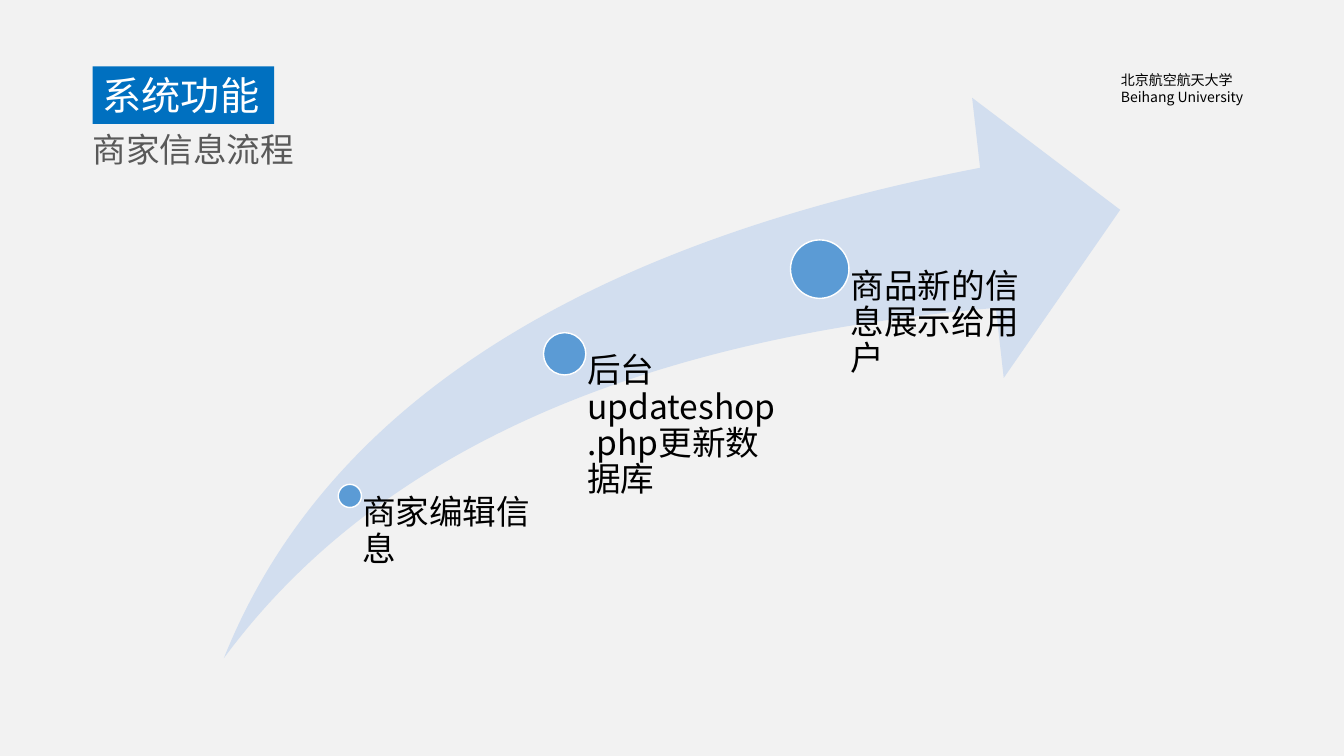
from pptx import Presentation
from pptx.dml.color import RGBColor
from pptx.enum.shapes import MSO_SHAPE as Preset
from pptx.enum.text import MSO_ANCHOR as Anchor, PP_ALIGN as Align
from pptx.oxml.ns import qn
from pptx.util import Inches, Pt

COLORS = {
    "background": "F2F2F2", "title": "0070C0", "subtitle": "595959",
    "arrow": "D2DEEF", "dot": "5B9BD5", "white": "FFFFFF", "black": "000000",
}
CJK_FONT = "Noto Sans CJK SC"

UNIVERSITY = ["北京航空航天大学", "Beihang University"]
TITLE = "系统功能"
SUBTITLE = "商家信息流程"
ARROW = (2.22, 0.97, 8.89, 5.56)
STEPS = [
    ("商家编辑信息", "Times New Roman", 3.47, 4.92, 0.23, 2.07),
    ("后台updateshop.php更新数据库", CJK_FONT, 5.6, 3.51, 0.42, 2.13),
    ("商品新的信息展示给用户", "Calibri", 8.13, 2.67, 0.58, 2.13),
]


def color(name):
    return RGBColor.from_string(COLORS[name])


def add_preset(slide, preset, box, fill, line=None):
    shape = slide.shapes.add_shape(preset, *map(Inches, box))
    shape.shadow.inherit = False
    shape.fill.solid()
    shape.fill.fore_color.rgb = color(fill)
    if line:
        shape.line.color.rgb = color(line)
        shape.line.width = Pt(1)
    else:
        shape.line.fill.background()
    return shape


def write(shape, lines, size, ink="black", font=CJK_FONT,
          insets=(0.1, 0.05, 0.1, 0.05), spacing=1.0):
    frame = shape.text_frame
    frame.word_wrap = True
    frame.vertical_anchor = Anchor.TOP
    (frame.margin_left, frame.margin_top,
     frame.margin_right, frame.margin_bottom) = map(Inches, insets)
    for index, line in enumerate(lines):
        paragraph = frame.add_paragraph() if index else frame.paragraphs[0]
        paragraph.alignment = Align.LEFT
        paragraph.line_spacing = spacing
        run = paragraph.add_run()
        run.text = line
        run.font.size = Pt(size)
        run.font.name = font
        run.font.color.rgb = color(ink)
        east_asian = run.font._element.makeelement(qn("a:ea"), {"typeface": CJK_FONT})
        run.font._element.find(qn("a:latin")).addnext(east_asian)


def add_text(slide, box, lines, size, **style):
    write(slide.shapes.add_textbox(*map(Inches, box)), lines, size, **style)


def add_step(slide, step):
    label, font, center_x, center_y, diameter, width = step
    radius = diameter / 2
    arrow_bottom = ARROW[1] + ARROW[3]
    dot = (center_x - radius, center_y - radius, diameter, diameter)
    add_preset(slide, Preset.OVAL, dot, "dot", line="white")
    add_text(slide, (center_x, center_y, width, arrow_bottom - center_y), [label], 24,
             font=font, insets=(radius * 1.06, 0, 0, 0), spacing=0.9)


def main():
    deck = Presentation()
    deck.slide_width, deck.slide_height = Inches(13.33), Inches(7.5)
    slide = deck.slides.add_slide(deck.slide_layouts[6])
    slide.background.fill.solid()
    slide.background.fill.fore_color.rgb = color("background")

    add_text(slide, (11.02, 0.66, 3.17, 0.44), UNIVERSITY, 10)
    title = add_preset(slide, Preset.RECTANGLE, (0.92, 0.66, 1.8, 0.57), "title")
    write(title, [TITLE], 28, ink="white")
    add_text(slide, (0.82, 1.23, 4.96, 0.5), [SUBTITLE], 24, ink="subtitle")

    arrow = add_preset(slide, Preset.SWOOSH_ARROW, ARROW, "arrow")
    arrow.adjustments[0] = arrow.adjustments[1] = 0.25
    for step in STEPS:
        add_step(slide, step)

    deck.save("out.pptx")


if __name__ == "__main__":
    main()
